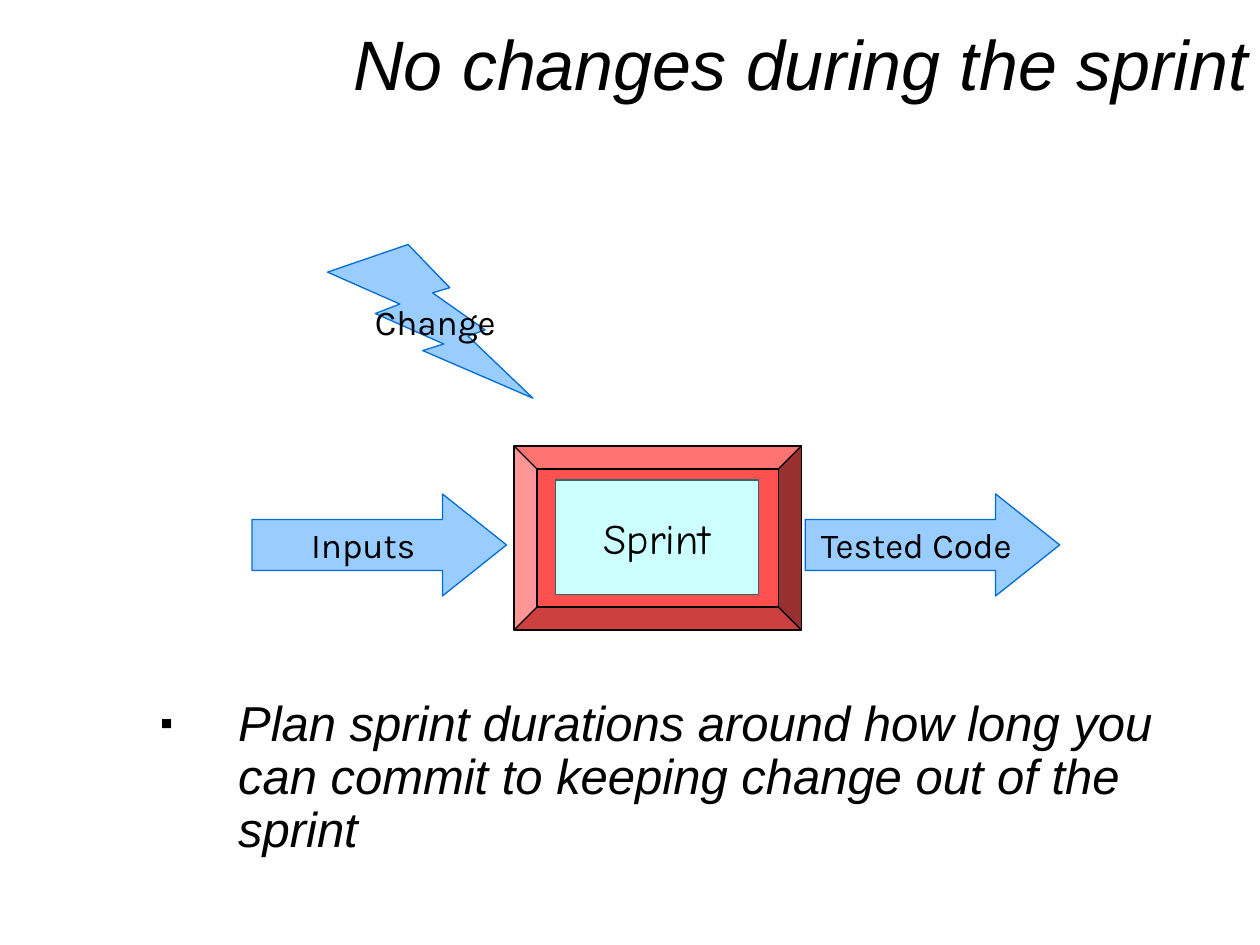
from dataclasses import dataclass

from lxml.etree import SubElement
from pptx import Presentation
from pptx.dml.color import RGBColor
from pptx.enum.shapes import MSO_SHAPE
from pptx.enum.text import MSO_ANCHOR, MSO_AUTO_SIZE, PP_ALIGN
from pptx.oxml.ns import qn
from pptx.util import Inches, Pt


@dataclass(frozen=True)
class Theme:
    """Colours, fonts and type sizes of the slide."""
    ink: str = "000000"
    flow_fill: str = "99CCFF"
    flow_line: str = "006CD8"
    frame_fill: str = "FF5050"
    sprint_fill: str = "CCFFFF"
    sprint_line: str = "336666"
    text_font: str = "Arial"
    flow_font: str = "Karla"
    sprint_font: str = "Comic Neue"
    title_size: int = 40
    body_size: int = 28
    sprint_size: int = 24
    flow_size: int = 20
    line_width: float = 0.74


class SlideBuilder:
    """Draws styled elements on the current slide."""

    def __init__(self, slide, theme):
        """Keep the slide and its theme."""
        self.slide = slide
        self.theme = theme

    def add_run(self, paragraph, text, font, size, italic=False):
        """Append one formatted run to a paragraph."""
        run = paragraph.add_run()
        run.text = text
        run.font.name = font
        run.font.size = Pt(size)
        run.font.italic = italic
        run.font.color.rgb = RGBColor.from_string(self.theme.ink)

    def fill_placeholder(self, placeholder, text, box, size, anchor, before):
        """Move a placeholder, write its italic text and return the paragraph."""
        placeholder.left, placeholder.top, placeholder.width, placeholder.height = map(Inches, box)
        frame = placeholder.text_frame
        frame.word_wrap = True
        frame.auto_size = MSO_AUTO_SIZE.NONE
        frame.vertical_anchor = anchor
        paragraph = frame.paragraphs[0]
        paragraph.line_spacing = 0.9
        paragraph.space_before = Pt(before)
        self.add_run(paragraph, text, self.theme.text_font, size, italic=True)
        return paragraph

    def title(self, text, box):
        """Write the right-aligned title."""
        paragraph = self.fill_placeholder(self.slide.shapes.title, text, box,
                                          self.theme.title_size, MSO_ANCHOR.MIDDLE, 15)
        paragraph.alignment = PP_ALIGN.RIGHT

    def bullet(self, text, box):
        """Write the body text with a small square bullet."""
        paragraph = self.fill_placeholder(self.slide.placeholders[1], text, box,
                                          self.theme.body_size, MSO_ANCHOR.TOP, 10.5)
        paragraph.space_after = Pt(3.5)
        properties = paragraph._p.get_or_add_pPr()
        indent = Inches(0.62)
        properties.set("marL", str(indent))
        properties.set("indent", str(-indent))
        colour = SubElement(properties, qn("a:buClr"))
        SubElement(colour, qn("a:srgbClr"), val=self.theme.ink)
        SubElement(properties, qn("a:buSzPct"), val="75000")
        SubElement(properties, qn("a:buFont"), typeface=self.theme.text_font)
        SubElement(properties, qn("a:buChar"), char="▪")

    def shape(self, kind, box, fill, line, adjustments=()):
        """Add a filled and outlined preset shape."""
        shape = self.slide.shapes.add_shape(kind, *map(Inches, box))
        shape.shadow.inherit = False
        shape.fill.solid()
        shape.fill.fore_color.rgb = RGBColor.from_string(fill)
        shape.line.color.rgb = RGBColor.from_string(line)
        shape.line.width = Pt(self.theme.line_width)
        for index, value in enumerate(adjustments):
            shape.adjustments[index] = value
        return shape

    def label(self, shape, text, font, size):
        """Centre an unwrapped label in a shape."""
        frame = shape.text_frame
        frame.word_wrap = False
        frame.vertical_anchor = MSO_ANCHOR.MIDDLE
        paragraph = frame.paragraphs[0]
        paragraph.alignment = PP_ALIGN.CENTER
        self.add_run(paragraph, text, font, size)

    def flow(self, kind, text, box, adjustments=()):
        """Add a labelled blue shape that acts on the sprint."""
        theme = self.theme
        shape = self.shape(kind, box, theme.flow_fill, theme.flow_line, adjustments)
        self.label(shape, text, theme.flow_font, theme.flow_size)

    def sprint(self, text, frame_box, core_box):
        """Add the bevelled frame and the sprint box inside it."""
        theme = self.theme
        self.shape(MSO_SHAPE.BEVEL, frame_box, theme.frame_fill, theme.ink, (0.125,))
        core = self.shape(MSO_SHAPE.RECTANGLE, core_box, theme.sprint_fill, theme.sprint_line)
        self.label(core, text, theme.sprint_font, theme.sprint_size)


def main():
    """Build and save the slide."""
    presentation = Presentation()
    presentation.slide_width = Inches(10)
    presentation.slide_height = Inches(7.5)
    slide = presentation.slides.add_slide(presentation.slide_layouts[1])
    builder = SlideBuilder(slide, Theme())

    builder.title("No changes during the sprint", (2.17, 0, 7.83, 1.08))
    builder.sprint("Sprint", (4.08, 3.54, 2.28, 1.46), (4.41, 3.81, 1.61, 0.91))
    for text, left in (("Inputs", 2), ("Tested Code", 6.39)):
        builder.flow(MSO_SHAPE.RIGHT_ARROW, text, (left, 3.92, 2.02, 0.81), (0.5, 0.628))
    builder.flow(MSO_SHAPE.LIGHTNING_BOLT, "Change", (2.6, 1.94, 1.63, 1.22))
    builder.bullet("Plan sprint durations around how long you can commit to "
                   "keeping change out of the sprint", (1.17, 5.5, 8.5, 1.37))

    presentation.save("out.pptx")


main()
